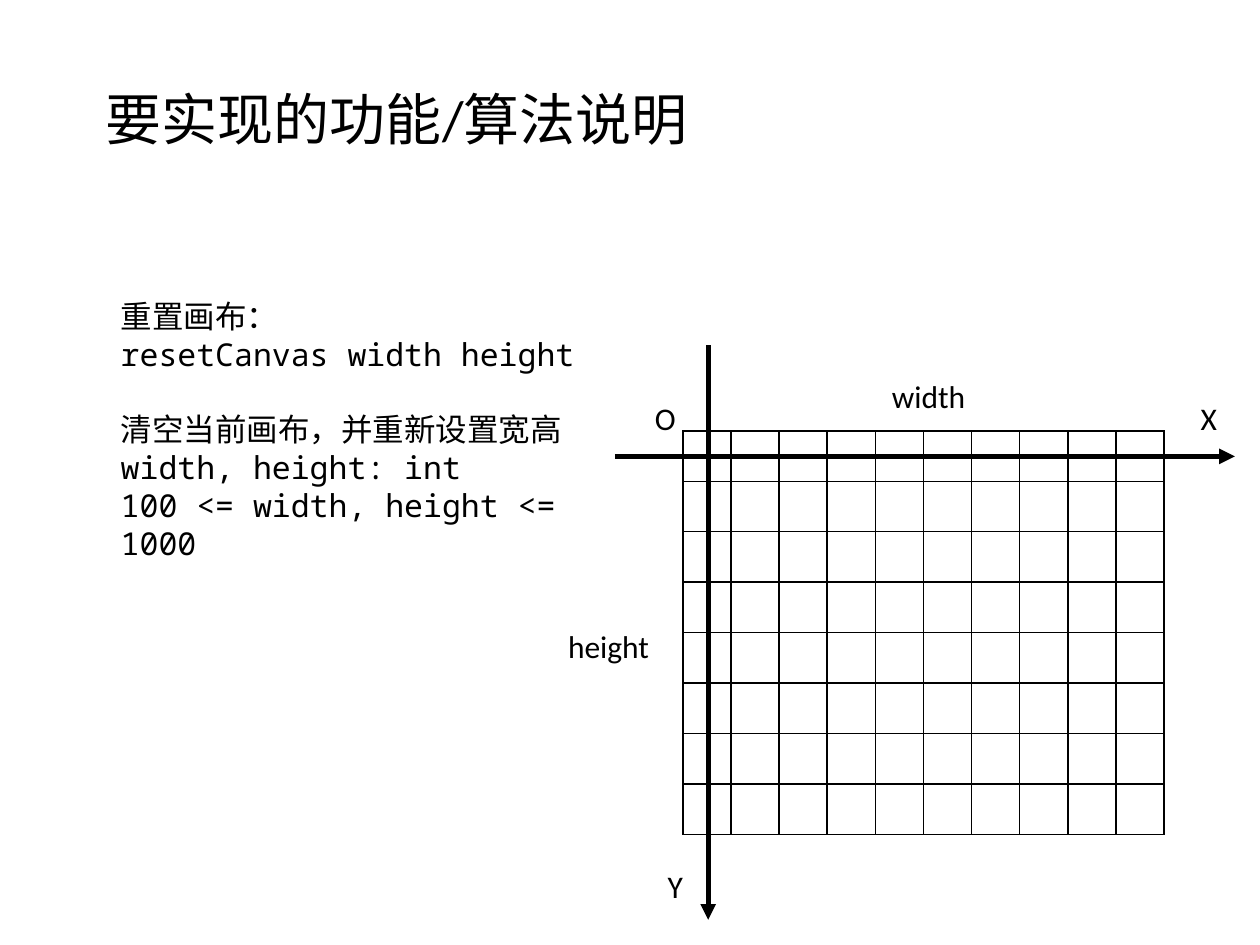
from lxml.etree import SubElement
from pptx import Presentation
from pptx.dml.color import RGBColor
from pptx.enum.shapes import MSO_CONNECTOR as Connector
from pptx.enum.text import MSO_AUTO_SIZE as AutoSize
from pptx.oxml.ns import qn
from pptx.util import Pt

BLACK = "000000"
SANS, MONO = "Calibri", "Noto Sans Mono"

# Content: paragraphs are (text, font, space before)
TITLE = [("要实现的功能/算法说明", SANS, 0)]
DESCRIPTION = [
    ("重置画布：", SANS, 0),
    ("resetCanvas width height", MONO, 0),
    ("清空当前画布，并重新设置宽高", SANS, 21.5),
    ("width, height: int", MONO, 0),
    ("100 <= width, height <= 1000", MONO, 0),
]
# Labels: text, left, top, width
LABELS = [
    ("X", 679, 224.6, 23.8),
    ("Y", 374.4, 491.8, 23),
    ("O", 367.2, 224.6, 26.6),
    ("width", 502.6, 211.7, 56.9),
    ("height", 317.5, 355, 61.2),
]
# Axes: start x, start y, end x, end y
AXES = [(351.4, 260.8, 705.6, 260.8), (404.7, 197.3, 404.7, 525.6)]
ROWS, COLUMNS = 8, 10
GRID_LEFT, GRID_TOP = 390.2, 246.2
CELL_WIDTH, CELL_HEIGHT = 27.5, 28.8


def color(value):
    return RGBColor.from_string(value)


def add_text(page, paragraphs, left, top, width, height, size=18, wrap=True):
    box = page.shapes.add_textbox(Pt(left), Pt(top), Pt(width), Pt(height))
    frame = box.text_frame
    frame.word_wrap = wrap
    frame.auto_size = AutoSize.SHAPE_TO_FIT_TEXT
    for index, (text, font, gap) in enumerate(paragraphs):
        para = frame.add_paragraph() if index else frame.paragraphs[0]
        para.space_before = Pt(gap)
        span = para.add_run()
        span.text = text
        span.font.size = Pt(size)
        span.font.name = font
        span.font.color.rgb = color(BLACK)


def add_borders(cell):
    properties = cell._tc.get_or_add_tcPr()
    for index, side in enumerate(("lnL", "lnR", "lnT", "lnB")):
        line = properties.makeelement(qn(f"a:{side}"), {"w": str(Pt(1))})
        fill = SubElement(line, qn("a:solidFill"))
        SubElement(fill, qn("a:srgbClr"), val=BLACK)
        properties.insert(index, line)  # borders come before the fill


def add_grid(page):
    table = page.shapes.add_table(
        ROWS, COLUMNS, Pt(GRID_LEFT), Pt(GRID_TOP),
        Pt(COLUMNS * CELL_WIDTH), Pt(ROWS * CELL_HEIGHT)).table
    table.first_row = table.horz_banding = False
    for column in table.columns:
        column.width = Pt(CELL_WIDTH)
    for row in table.rows:
        row.height = Pt(CELL_HEIGHT)
    for cell in table.iter_cells():
        cell.fill.background()
        add_borders(cell)


def add_axis(page, *ends):
    axis = page.shapes.add_connector(Connector.STRAIGHT, *map(Pt, ends))
    axis.line.width = Pt(3)
    axis.line.color.rgb = color(BLACK)
    SubElement(axis.line._get_or_add_ln(), qn("a:tailEnd"), type="triangle")
    SubElement(axis._element.spPr, qn("a:effectLst"))


def main():
    deck = Presentation()
    deck.slide_width, deck.slide_height = Pt(720), Pt(540)
    page = deck.slides.add_slide(deck.slide_layouts[6])

    # Title and description
    add_text(page, TITLE, 53.3, 44.6, 349.9, 46.1, size=32)
    add_text(page, DESCRIPTION, 61.9, 166.3, 293.8, 138.2)

    # Canvas grid with its axes and labels
    add_grid(page)
    for ends in AXES:
        add_axis(page, *ends)
    for text, left, top, width in LABELS:
        add_text(page, [(text, SANS, 0)], left, top, width, 28.8, wrap=False)

    deck.save("out.pptx")


if __name__ == "__main__":
    main()
